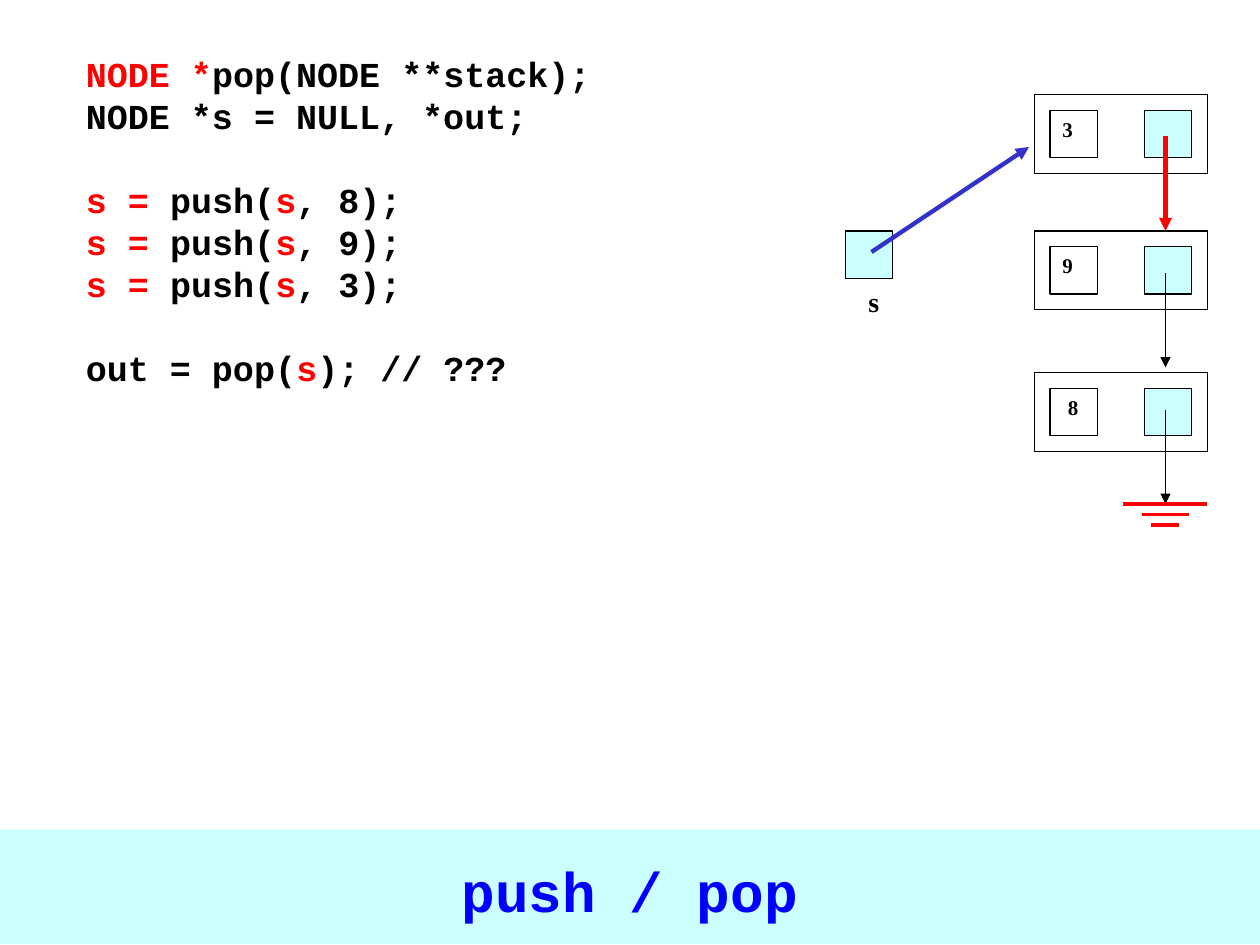
import pptx
import pptx.util
import pptx.dml.color
import pptx.enum.shapes
import pptx.enum.text
import lxml.etree
from dataclasses import dataclass

Pt = pptx.util.Pt
RGB = pptx.dml.color.RGBColor.from_string


@dataclass(frozen=True)
class Theme:
    code: str = "Courier New"
    serif: str = "Times New Roman"
    black: str = "000000"
    white: str = "FFFFFF"
    red: str = "FF0000"
    blue: str = "0000FF"
    link: str = "3333CC"
    pale: str = "CCFFFF"
    head: int = 32
    body: int = 20
    name: int = 16
    small: int = 12


theme = Theme()


def box(left, top, width, height, fill, edge=True, text="", size=theme.small, inset=7.2):
    shape = slide.shapes.add_shape(
        pptx.enum.shapes.MSO_SHAPE.RECTANGLE, Pt(left), Pt(top), Pt(width), Pt(height))
    shape.shadow.inherit = False
    shape.fill.solid()
    shape.fill.fore_color.rgb = RGB(fill)
    if edge:
        shape.line.color.rgb = RGB(theme.black)
        shape.line.width = Pt(0.75)
    else:
        shape.line.fill.background()
    if text:
        frame = shape.text_frame
        frame.text = text
        frame.vertical_anchor = pptx.enum.text.MSO_ANCHOR.TOP
        frame.margin_left = Pt(inset)
        para = frame.paragraphs[0]
        para.alignment = pptx.enum.text.PP_ALIGN.LEFT
        font = para.runs[0].font
        font.name, font.size, font.bold = theme.serif, Pt(size), True
        font.color.rgb = RGB(theme.black)


def line(start, end, color, width, arrow=True):
    link = slide.shapes.add_connector(
        pptx.enum.shapes.MSO_CONNECTOR.STRAIGHT,
        Pt(start[0]), Pt(start[1]), Pt(end[0]), Pt(end[1]))
    link.line.color.rgb = RGB(color)
    link.line.width = Pt(width)
    if arrow:
        lxml.etree.SubElement(
            link.line._get_or_add_ln(), pptx.oxml.ns.qn("a:tailEnd"), type="triangle")
    lxml.etree.SubElement(link._element.spPr, pptx.oxml.ns.qn("a:effectLst"))


deck = pptx.Presentation()
deck.slide_width, deck.slide_height = Pt(720), Pt(540)
slide = deck.slides.add_slide(deck.slide_layouts[5])

title = slide.shapes.title
title.left, title.top, title.width, title.height = Pt(0), Pt(474), Pt(720), Pt(65.5)
title.fill.solid()
title.fill.fore_color.rgb = RGB(theme.pale)
frame = title.text_frame
frame.text = "push / pop"
frame.auto_size = pptx.enum.text.MSO_AUTO_SIZE.NONE
frame.vertical_anchor = pptx.enum.text.MSO_ANCHOR.MIDDLE
frame.margin_top = Pt(7)
para = frame.paragraphs[0]
para.alignment = pptx.enum.text.PP_ALIGN.CENTER
font = para.runs[0].font
font.name, font.size, font.bold = theme.code, Pt(theme.head), True
font.color.rgb = RGB(theme.blue)

red, black = theme.red, theme.black
rows = [
    (0, [("NODE *", red), ("pop(NODE **stack);", black)]),
    (0, [("NODE *s = NULL, *out;", black)]),
]
for step, value in enumerate((8, 9, 3)):
    rows.append((0 if step else 24, [
        ("s = ", red), ("push(", black), ("s", red), (f", {value});", black)]))
rows.append((24, [("out = pop(", black), ("s", red), ("); // ???", black)]))

code = slide.shapes.add_textbox(Pt(42), Pt(24), Pt(426), Pt(199.5))
frame = code.text_frame
frame.word_wrap = True
frame.margin_top = Pt(6)
for index, (gap, parts) in enumerate(rows):
    para = frame.add_paragraph() if index else frame.paragraphs[0]
    para.space_before = Pt(gap)
    para.line_spacing = Pt(24)
    for text, color in parts:
        run = para.add_run()
        run.text = text
        run.font.name, run.font.size, run.font.bold = theme.code, Pt(theme.body), True
        run.font.color.rgb = RGB(color)

box(474, 159, 54, 27, theme.white, False, "s", theme.name, 22.2)
box(483, 132, 27, 27, theme.pale)

for top, text, inset in ((54, "3", 7.2), (132, "9", 7.2), (213, "8", 10.2)):
    box(591, top, 99, 45, theme.white)
    box(654, top + 9, 27, 27, theme.pale)
    box(600, top + 9, 27, 27, theme.white, True, text, inset=inset)

line((498, 144), (588, 84), theme.link, 2.5)
for top, color, width in ((78, red, 2.5), (156, black, 0.75), (234, black, 0.75)):
    line((666, top), (666, top + 54), color, width)

for step, half in enumerate((24, 13.5, 8)):
    level = 288 + 6 * step
    line((666 - half, level), (666 + half, level), red, 2, False)

deck.save("out.pptx")
